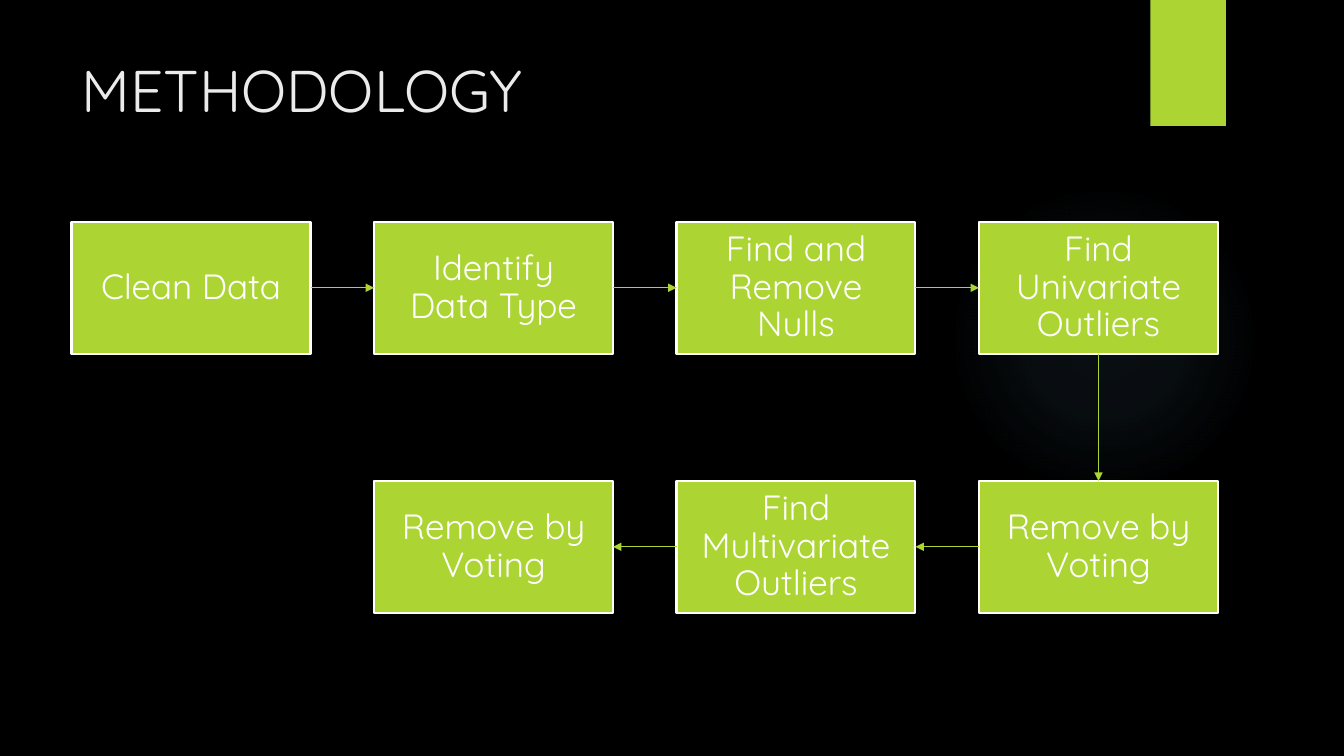
import pptx
import pptx.util
import pptx.oxml
import pptx.oxml.ns
import pptx.dml.color
import pptx.enum.shapes
import pptx.enum.text

Inches = pptx.util.Inches
Pt = pptx.util.Pt
RGBColor = pptx.dml.color.RGBColor
SHAPES = pptx.enum.shapes.MSO_SHAPE
ANCHOR = pptx.enum.text.MSO_ANCHOR
ALIGN = pptx.enum.text.PP_ALIGN

BLACK = RGBColor(0x00, 0x00, 0x00)
LIME = RGBColor(0xAC, 0xD4, 0x33)
WHITE = RGBColor(0xFF, 0xFF, 0xFF)
OFF_WHITE = RGBColor(0xEB, 0xEB, 0xEB)
SKY = RGBColor(0x7A, 0xC4, 0xF0)
FONT = "Quicksand"
TOP, LEFT, BOTTOM, RIGHT = range(4)

STEP_WIDTH, STEP_HEIGHT = 2.37, 1.31
COLUMN_PITCH, ROW_PITCH = 3.0, 2.57
STEPS = [
    ("Clean Data", 0, 0),
    ("Identify Data Type", 1, 0),
    ("Find and Remove Nulls", 2, 0),
    ("Find Univariate Outliers", 3, 0),
    ("Remove by Voting", 3, 1),
    ("Find Multivariate Outliers", 2, 1),
    ("Remove by Voting", 1, 1),
]


def add_plain_shape(slide, preset, left, top, width, height):
    shape = slide.shapes.add_shape(
        preset, Inches(left), Inches(top), Inches(width), Inches(height))
    shape.shadow.inherit = False
    shape.fill.solid()
    shape.fill.fore_color.rgb = LIME
    shape.line.fill.background()
    return shape


def write_run(paragraph, text, size, color):
    run = paragraph.add_run()
    run.text = text
    run.font.name = FONT
    run.font.size = Pt(size)
    run.font.color.rgb = color


def add_glow(slide, left, top, size):
    glow = add_plain_shape(slide, SHAPES.OVAL, left, top, size, size)
    stops = "".join(
        f'<a:gs pos="{position * 1000}"><a:srgbClr val="{SKY}">'
        f'<a:alpha val="{alpha * 1000}"/></a:srgbClr></a:gs>'
        for position, alpha in ((0, 7), (36, 6), (69, 0)))
    gradient = pptx.oxml.parse_xml(
        f'<a:gradFill {pptx.oxml.ns.nsdecls("a")}><a:gsLst>{stops}</a:gsLst>'
        '<a:path path="circle"><a:fillToRect l="50000" t="50000" r="50000" '
        'b="50000"/></a:path></a:gradFill>')
    properties = glow._element.spPr
    properties.replace(properties.find(pptx.oxml.ns.qn("a:solidFill")), gradient)


def add_title(slide, left, top, width, height):
    title = slide.shapes.title
    title.left, title.top = Inches(left), Inches(top)
    title.width, title.height = Inches(width), Inches(height)
    frame = title.text_frame
    frame.auto_size = pptx.enum.text.MSO_AUTO_SIZE.NONE
    frame.vertical_anchor = ANCHOR.TOP
    frame.paragraphs[0].alignment = ALIGN.LEFT
    write_run(frame.paragraphs[0], "METHODOLOGY", 42, OFF_WHITE)


def add_step(slide, text, left, top):
    step = add_plain_shape(
        slide, SHAPES.RECTANGLE, left, top, STEP_WIDTH, STEP_HEIGHT)
    step.line.color.rgb = WHITE
    step.line.width = Pt(1.5)
    frame = step.text_frame
    frame.word_wrap = True
    frame.vertical_anchor = ANCHOR.MIDDLE
    frame.margin_left = frame.margin_right = Inches(0.19)
    frame.margin_top = frame.margin_bottom = Inches(0.19)
    paragraph = frame.paragraphs[0]
    paragraph.alignment = ALIGN.CENTER
    paragraph.line_spacing = 0.9
    write_run(paragraph, text, 25, WHITE)
    return step


def add_arrow(slide, source, source_side, target, target_side):
    arrow = slide.shapes.add_connector(
        pptx.enum.shapes.MSO_CONNECTOR.STRAIGHT, 0, 0, 0, 0)
    arrow.begin_connect(source, source_side)
    arrow.end_connect(target, target_side)
    arrow.line.color.rgb = LIME
    arrow.line.width = Pt(0.75)
    namespace = pptx.oxml.ns.nsdecls("a")
    arrow.line._get_or_add_ln().append(
        pptx.oxml.parse_xml(f'<a:tailEnd {namespace} type="triangle"/>'))
    arrow._element.spPr.append(pptx.oxml.parse_xml(f"<a:effectLst {namespace}/>"))


def add_flow(slide, left, top):
    steps = [
        add_step(slide, text, left + column * COLUMN_PITCH, top + row * ROW_PITCH)
        for text, column, row in STEPS]
    sides = {(1, 0): (RIGHT, LEFT), (-1, 0): (LEFT, RIGHT), (0, 1): (BOTTOM, TOP)}
    for index in range(len(steps) - 1):
        _, column, row = STEPS[index]
        _, next_column, next_row = STEPS[index + 1]
        source_side, target_side = sides[next_column - column, next_row - row]
        add_arrow(slide, steps[index], source_side, steps[index + 1], target_side)


def main():
    presentation = pptx.Presentation()
    presentation.slide_width = Inches(13.33)
    presentation.slide_height = Inches(7.5)
    slide = presentation.slides.add_slide(presentation.slide_layouts[5])
    slide.background.fill.solid()
    slide.background.fill.fore_color.rgb = BLACK
    add_glow(slide, 9.41, 1.83, 3.08)
    add_plain_shape(slide, SHAPES.RECTANGLE, 11.41, 0, 0.75, 1.25)
    add_title(slide, 0.71, 0.48, 10.29, 1.53)
    add_flow(slide, 0.71, 2.2)
    presentation.save("out.pptx")


if __name__ == "__main__":
    main()
